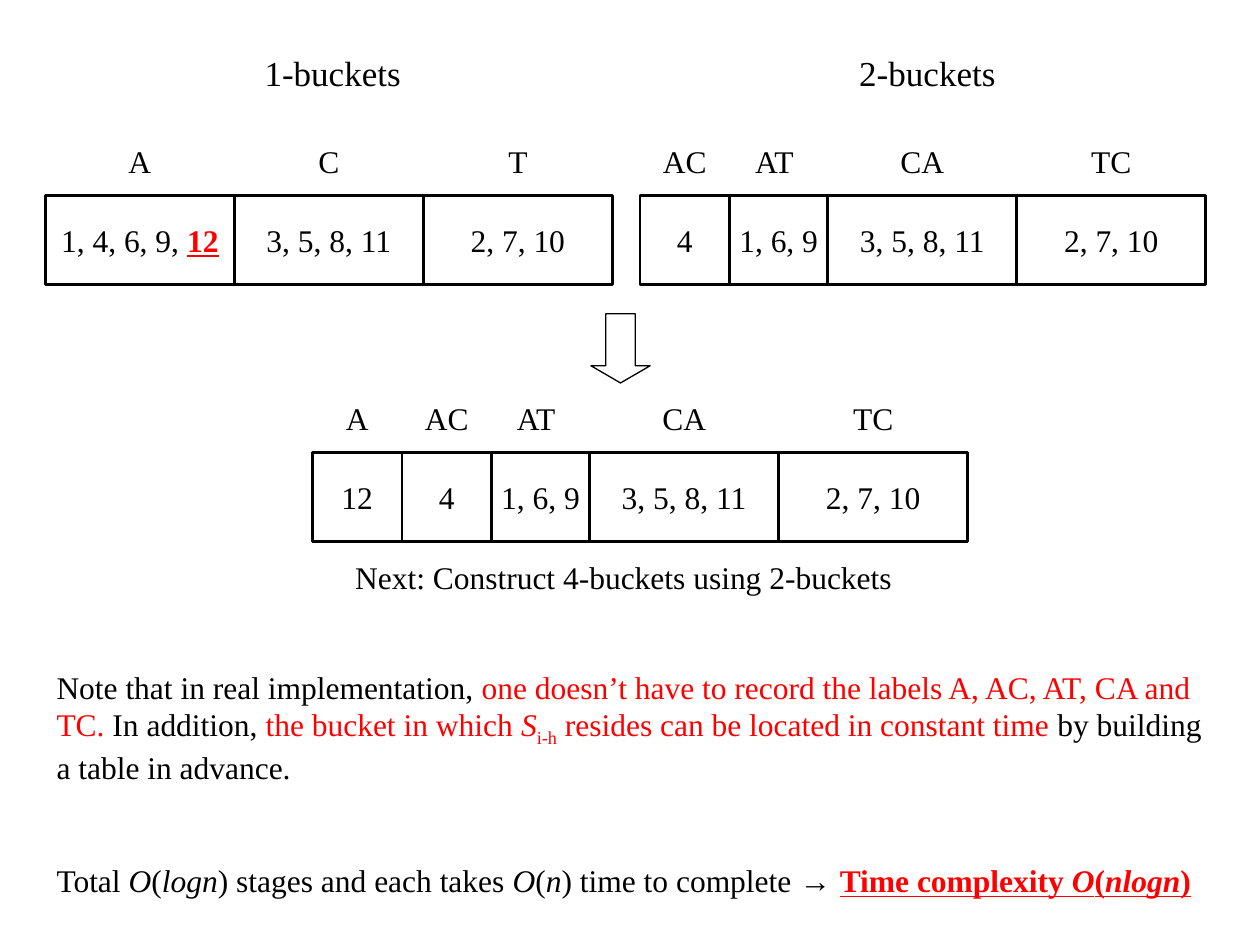
import dataclasses

import pptx
import pptx.dml.color
import pptx.enum.shapes
import pptx.enum.text
import pptx.util

COLORS = {"ink": "000000", "accent": "FF0000", "paper": "FFFFFF"}
SERIF = "Times New Roman"
BODY_SIZE = 18
CELL_HEIGHT = 9.47
LABEL_WIDTH = 7.1
LABEL_HEIGHT = 5.33
LABEL_RISE = 6.33
NARROW, MEDIUM, WIDE = 7.1, 7.8, 15
CENTER = pptx.enum.text.PP_ALIGN.CENTER
LEFT = pptx.enum.text.PP_ALIGN.LEFT

deck = pptx.Presentation()
deck.slide_width = pptx.util.Inches(10)
deck.slide_height = pptx.util.Inches(7.5)


@dataclasses.dataclass
class Span:
    text: str
    color: str = "ink"
    bold: bool = False
    italic: bool = False
    underline: bool = False
    subscript: bool = False
    font: str = SERIF


@dataclasses.dataclass
class Area:
    left: float
    top: float
    width: float
    height: float

    def lengths(self) -> tuple[int, int, int, int]:
        return (
            int(deck.slide_width * self.left / 100),
            int(deck.slide_height * self.top / 100),
            int(deck.slide_width * self.width / 100),
            int(deck.slide_height * self.height / 100),
        )


@dataclasses.dataclass
class Bucket:
    label: str
    width: float
    spans: list[Span]


@dataclasses.dataclass
class BucketRow:
    left: float
    top: float
    buckets: list[Bucket]


def color(name: str) -> pptx.dml.color.RGBColor:
    return pptx.dml.color.RGBColor.from_string(COLORS[name])


def write_paragraph(para, spans: list[Span], align, size: float) -> None:
    para.alignment = align
    for span in spans:
        run = para.add_run()
        run.text = span.text
        run.font.name = span.font
        run.font.size = pptx.util.Pt(size)
        run.font.color.rgb = color(span.color)
        run.font.bold = span.bold
        run.font.italic = span.italic
        run.font.underline = span.underline
        if span.subscript:
            run.font._element.set("baseline", "-25000")


def add_text(page, area: Area, paragraphs: list[list[Span]], align=CENTER,
             size: float = BODY_SIZE, gap: float = 0) -> None:
    box = page.shapes.add_textbox(*area.lengths())
    frame = box.text_frame
    frame.word_wrap = True
    frame.auto_size = pptx.enum.text.MSO_AUTO_SIZE.SHAPE_TO_FIT_TEXT
    for index, spans in enumerate(paragraphs):
        para = frame.add_paragraph() if index else frame.paragraphs[0]
        if index:
            para.space_before = pptx.util.Pt(gap)
        write_paragraph(para, spans, align, size)


def add_outlined(page, kind, area: Area, line_width: float):
    shape = page.shapes.add_shape(kind, *area.lengths())
    shape.shadow.inherit = False
    shape.fill.solid()
    shape.fill.fore_color.rgb = color("paper")
    shape.line.color.rgb = color("ink")
    shape.line.width = pptx.util.Pt(line_width)
    return shape


def add_row(page, row: BucketRow) -> None:
    left = row.left
    for bucket in row.buckets:
        area = Area(left, row.top, bucket.width, CELL_HEIGHT)
        cell = add_outlined(page, pptx.enum.shapes.MSO_SHAPE.RECTANGLE, area, 1.5)
        frame = cell.text_frame
        frame.word_wrap = False
        frame.vertical_anchor = pptx.enum.text.MSO_ANCHOR.MIDDLE
        write_paragraph(frame.paragraphs[0], bucket.spans, CENTER, BODY_SIZE)
        shift = (WIDE - LABEL_WIDTH) / 2 if bucket.width == WIDE else 0
        label_area = Area(left + shift, row.top - LABEL_RISE, LABEL_WIDTH, LABEL_HEIGHT)
        add_text(page, label_area, [[Span(bucket.label)]])
        left += bucket.width


TWO_BUCKETS = [
    Bucket("AC", NARROW, [Span("4")]),
    Bucket("AT", MEDIUM, [Span("1, 6, 9")]),
    Bucket("CA", WIDE, [Span("3, 5, 8, 11")]),
    Bucket("TC", WIDE, [Span("2, 7, 10")]),
]
ONE_BUCKETS = [
    Bucket("A", WIDE, [Span("1, 4, 6, 9, "),
                       Span("12", "accent", bold=True, underline=True)]),
    Bucket("C", WIDE, [Span("3, 5, 8, 11")]),
    Bucket("T", WIDE, [Span("2, 7, 10")]),
]
ROWS = [
    BucketRow(3.6, 20.67, ONE_BUCKETS),
    BucketRow(50.8, 20.67, TWO_BUCKETS),
    BucketRow(24.8, 47.87, [Bucket("A", NARROW, [Span("12")])] + TWO_BUCKETS),
]
HEADINGS = {"1-buckets": 19.3, "2-buckets": 66.5}
NOTES = [
    [
        Span("Note that in real implementation, "),
        Span("one doesn’t have to record the labels A, AC, AT, CA and TC.", "accent"),
        Span(" In addition, "),
        Span("the bucket in which ", "accent"),
        Span("S", "accent", italic=True),
        Span("i-h", "accent", subscript=True),
        Span(" resides can be located in constant time", "accent"),
        Span(" by building a table in advance."),
    ],
    [
        Span("Total "),
        Span("O", italic=True),
        Span("("),
        Span("logn", italic=True),
        Span(") stages and each takes "),
        Span("O", italic=True),
        Span("("),
        Span("n", italic=True),
        Span(") time to complete "),
        Span("→ ", font="Arial"),
    ] + [
        Span(text, "accent", bold=True, italic=italic, underline=True)
        for text, italic in [("Time complexity ", False), ("O", True), ("(", False),
                             ("nlogn", True), (")", False)]
    ],
]


def main() -> None:
    page = deck.slides.add_slide(deck.slide_layouts[6])
    for heading, left in HEADINGS.items():
        add_text(page, Area(left, 4.8, 14.2, 5.87), [[Span(heading)]], size=20)
    for row in ROWS:
        add_row(page, row)
    arrow = add_outlined(page, pptx.enum.shapes.MSO_SHAPE.DOWN_ARROW,
                         Area(46.9, 33.2, 4.7, 7.33), 0.75)
    arrow.adjustments[0] = 0.5
    arrow.adjustments[1] = 0.29
    add_text(page, Area(27.2, 58.4, 44.9, LABEL_HEIGHT),
             [[Span("Next: Construct 4-buckets using 2-buckets")]], LEFT)
    add_text(page, Area(3.5, 70, 92.9, 26.13), NOTES, LEFT, gap=43)
    deck.save("out.pptx")


if __name__ == "__main__":
    main()
